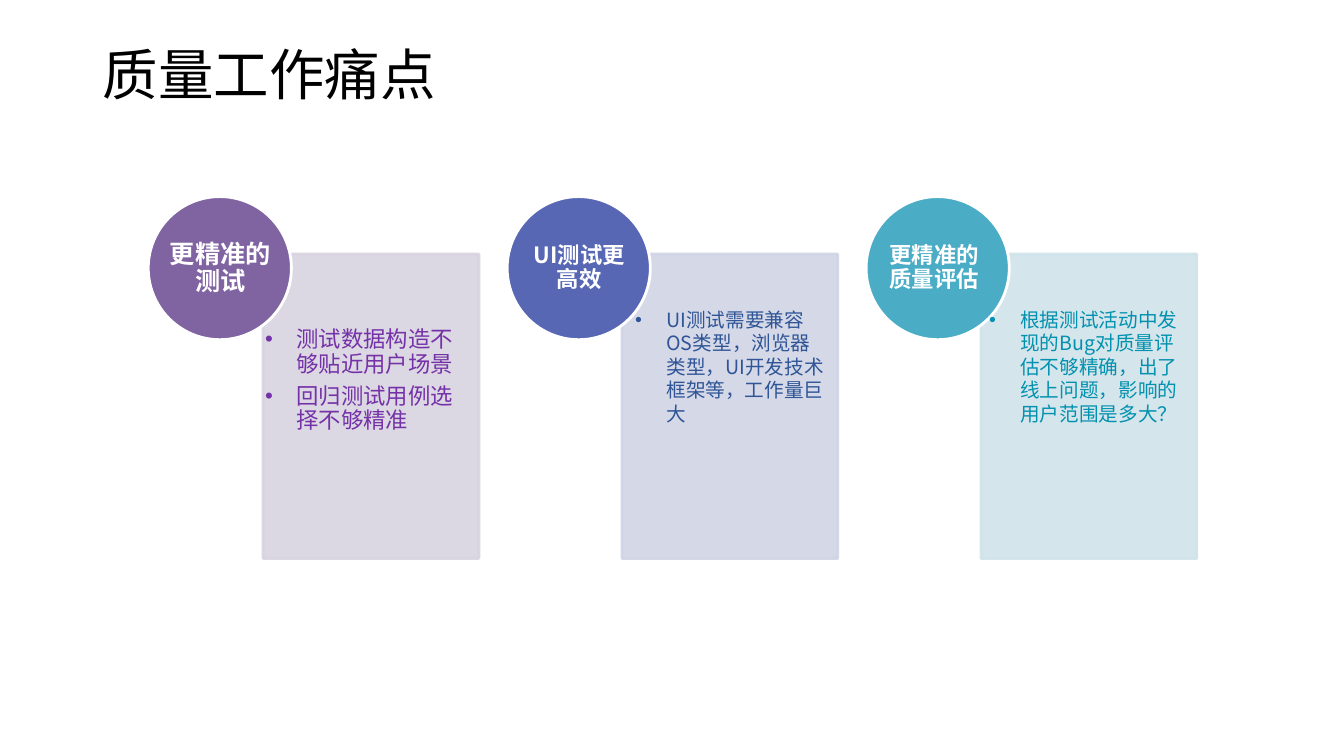
from lxml import etree
from pptx import Presentation
from pptx.dml.color import RGBColor
from pptx.enum.shapes import MSO_SHAPE
from pptx.enum.text import MSO_ANCHOR, MSO_AUTO_SIZE, PP_ALIGN
from pptx.oxml.ns import qn
from pptx.util import Inches, Pt

RECT, OVAL = MSO_SHAPE.RECTANGLE, MSO_SHAPE.OVAL
TOP, MIDDLE = MSO_ANCHOR.TOP, MSO_ANCHOR.MIDDLE
LEFT, CENTER = PP_ALIGN.LEFT, PP_ALIGN.CENTER
NO_FIT = MSO_AUTO_SIZE.NONE

BLACK = RGBColor(0x00, 0x00, 0x00)
WHITE = RGBColor(0xFF, 0xFF, 0xFF)
PURPLE = RGBColor(0x80, 0x64, 0xA2)
PURPLE_PALE = RGBColor(0xD8, 0xD3, 0xE0)
PURPLE_TEXT = RGBColor(0x75, 0x32, 0xA8)
INDIGO = RGBColor(0x57, 0x67, 0xB4)
INDIGO_PALE = RGBColor(0xD1, 0xD4, 0xE5)
INDIGO_TEXT = RGBColor(0x2F, 0x55, 0x97)
TEAL = RGBColor(0x4B, 0xAC, 0xC6)
TEAL_PALE = RGBColor(0xD0, 0xE3, 0xEA)
TEAL_TEXT = RGBColor(0x02, 0x91, 0xAE)


class SlideBuilder:
    cjk_font = "Noto Sans CJK SC"
    title_font = "Calibri"

    def __init__(self, slide):
        self.s = slide

    def place(self, sp, box):
        sp.left, sp.top, sp.width, sp.height = (Inches(v) for v in box)

    def format_text(self, tf, size, color, font, align, anchor, bold=False,
                    spacing=0.9, after=0.0):
        tf.word_wrap = True
        tf.auto_size = NO_FIT
        tf.vertical_anchor = anchor
        for p in tf.paragraphs:
            p.alignment = align
            p.line_spacing = spacing
            p.space_before = Pt(0)
            p.space_after = Pt(after)
            for r in p.runs:
                r.font.size = Pt(size)
                r.font.bold = bold
                r.font.name = font
                r.font.color.rgb = color
                ea = etree.SubElement(r.font._element, qn("a:ea"))
                ea.set("typeface", self.cjk_font)

    def title(self, text, box):
        sp = self.s.shapes.title
        self.place(sp, box)
        sp.text_frame.text = text
        self.format_text(sp.text_frame, 39.6, BLACK, self.title_font, LEFT, MIDDLE)

    def shape(self, kind, box, fill, line, opacity=None):
        sp = self.s.shapes.add_shape(kind, *(Inches(v) for v in box))
        sp.shadow.inherit = False
        sp.fill.solid()
        sp.fill.fore_color.rgb = fill
        sp.line.color.rgb = line
        sp.line.width = Pt(2)
        if opacity is not None:
            for clr in sp.element.spPr.iter(qn("a:srgbClr")):
                etree.SubElement(clr, qn("a:alpha")).set("val", str(opacity * 1000))

    def label(self, text, box, size):
        tf = self.s.shapes.add_textbox(*(Inches(v) for v in box)).text_frame
        tf.margin_left = tf.margin_top = tf.margin_right = tf.margin_bottom = 0
        tf.text = text
        self.format_text(tf, size, WHITE, self.cjk_font, CENTER, MIDDLE, bold=True)

    def bullets(self, idx, items, box, size, color, spacing):
        sp = self.s.placeholders[idx]
        self.place(sp, box)
        sp.element.getparent().append(sp.element)
        tf = sp.text_frame
        tf.text = "\n".join(items)
        self.format_text(tf, size, color, self.cjk_font, LEFT, TOP,
                         spacing=spacing, after=size * 0.35)
        for p in tf.paragraphs:
            pPr = p._p.get_or_add_pPr()
            pPr.set("marL", str(Inches(0.31)))
            pPr.set("indent", str(-Inches(0.31)))
            etree.SubElement(pPr, qn("a:buFont")).set("typeface", "Arial")
            etree.SubElement(pPr, qn("a:buChar")).set("char", "•")

    def remove_empty_placeholders(self):
        for sp in list(self.s.placeholders):
            if not sp.text_frame.text:
                sp.element.getparent().remove(sp.element)


def main():
    prs = Presentation()
    prs.slide_width, prs.slide_height = Inches(13.33), Inches(7.5)
    b = SlideBuilder(prs.slides.add_slide(prs.slide_layouts[4]))
    b.title("质量工作痛点", (0.92, 0.4, 10.8, 0.73))

    columns = [
        ("更精准的测试", 18, 1.68, PURPLE, PURPLE_PALE, PURPLE_TEXT, 1,
         ["测试数据构造不够贴近用户场景", "回归测试用例选择不够精准"],
         (2.53, 3.21, 2.12, 1.84), 16, 0.9),
        ("UI测试更高效", 16, 5.24, INDIGO, INDIGO_PALE, INDIGO_TEXT, 2,
         ["UI测试需要兼容OS类型，浏览器类型，UI开发技术框架等，工作量巨大"],
         (6.2, 3, 2.12, 1.92), 14, 1.0),
        ("更精准的质量评估", 16, 8.76, TEAL, TEAL_PALE, TEAL_TEXT, 4,
         ["根据测试活动中发现的Bug对质量评估不够精确，出了线上问题，影响的用户范围是多大？"],
         (9.71, 3, 2.12, 1.92), 14, 1.0),
    ]
    for i, (name, name_size, name_left, strong, pale, ink, idx, items, box,
            size, spacing) in enumerate(columns):
        x = 1.47 + 3.56 * i
        b.shape(RECT, (x + 1.14, 2.52, 2.14, 3.02), pale, pale, opacity=90)
        b.shape(OVAL, (x, 1.95, 1.42, 1.42), strong, WHITE)
        b.label(name, (name_left, 2.16, 1.01, 1.01), name_size)
        b.bullets(idx, items, box, size, ink, spacing)

    b.remove_empty_placeholders()
    prs.save("out.pptx")


if __name__ == "__main__":
    main()
